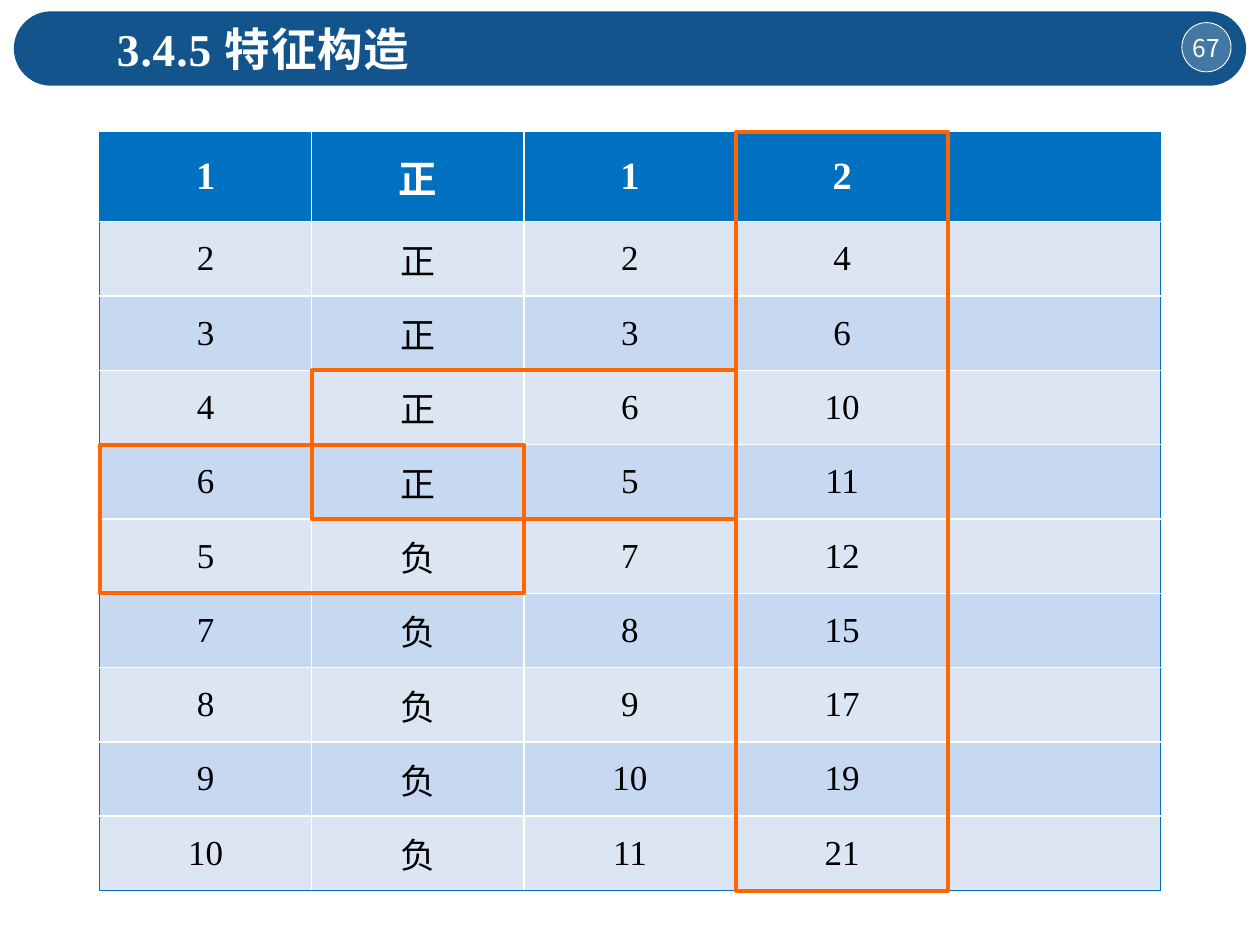
from dataclasses import dataclass

from lxml import etree
from pptx import Presentation
from pptx.dml.color import RGBColor
from pptx.enum.shapes import MSO_SHAPE
from pptx.enum.text import MSO_ANCHOR, PP_ALIGN
from pptx.oxml.ns import qn
from pptx.util import Inches, Pt

TITLE = "3.4.5 特征构造"
PAGE_NUMBER = "67"
ROWS = [
    ("1", "正", "1", "2", ""),
    ("2", "正", "2", "4", ""),
    ("3", "正", "3", "6", ""),
    ("4", "正", "6", "10", ""),
    ("6", "正", "5", "11", ""),
    ("5", "负", "7", "12", ""),
    ("7", "负", "8", "15", ""),
    ("8", "负", "9", "17", ""),
    ("9", "负", "10", "19", ""),
    ("10", "负", "11", "21", ""),
]
# Highlighted cell blocks: first column, first row, columns, rows
HIGHLIGHTS = [(1, 3, 2, 2), (3, 0, 1, 10), (0, 4, 2, 2)]


@dataclass(frozen=True)
class Theme:
    latin: str = "Times New Roman"
    chinese: str = "Noto Sans CJK SC"
    white: str = "FFFFFF"
    black: str = "000000"
    bar: str = "13548C"
    header: str = "0070C0"
    bands: tuple = ("C6D9F1", "DCE6F2")
    highlight: str = "FF6600"
    title_size: int = 26
    header_size: int = 22
    body_size: int = 20
    number_size: int = 14


THEME = Theme()
LEFT, TOP = 0.79, 1.05
COL_W, HEADER_H, ROW_H = 1.684, 0.71, 0.59


def rgb(value):
    return RGBColor.from_string(value)


def style_runs(p, size, color, bold=False, latin=THEME.latin):
    for r in p.runs:
        r.font.name, r.font.size, r.font.bold = latin, Pt(size), bold
        r.font.color.rgb = rgb(color)
        ea = etree.SubElement(r.font._element, qn("a:ea"))
        ea.set("typeface", THEME.chinese)


def add_shape(slide, kind, box, fill=None, line=None, width=1.0):
    sp = slide.shapes.add_shape(kind, *map(Inches, box))
    sp.shadow.inherit = False
    if fill:
        sp.fill.solid()
        sp.fill.fore_color.rgb = rgb(fill)
    else:
        sp.fill.background()
    if line:
        sp.line.color.rgb = rgb(line)
        sp.line.width = Pt(width)
    else:
        sp.line.fill.background()
    return sp


def set_borders(cell, colors):
    """Draw the cell's sides; colors maps L, R, T and B to a colour."""
    tc_pr = cell._tc.get_or_add_tcPr()
    for i, side in enumerate("LRTB"):
        ln = etree.Element(qn(f"a:ln{side}"), w=str(Pt(1)))
        fill = etree.SubElement(ln, qn("a:solidFill"))
        etree.SubElement(fill, qn("a:srgbClr"), val=colors[side])
        tc_pr.insert(i, ln)


def add_header(slide):
    bar = add_shape(slide, MSO_SHAPE.ROUNDED_RECTANGLE, (0.11, 0.09, 9.78, 0.59), THEME.bar)
    bar.adjustments[0] = 0.5

    badge = add_shape(slide, MSO_SHAPE.OVAL, (9.38, 0.18, 0.39, 0.39),
                      THEME.white, THEME.white, 0.5)
    color = badge.fill._xPr.find(qn("a:solidFill"))[0]
    etree.SubElement(color, qn("a:alpha"), val="21000")
    tf = badge.text_frame
    tf.margin_left = tf.margin_right = tf.margin_top = tf.margin_bottom = 0
    tf.word_wrap = False
    tf.vertical_anchor = MSO_ANCHOR.MIDDLE
    tf.text = PAGE_NUMBER
    p = tf.paragraphs[0]
    p.alignment = PP_ALIGN.CENTER
    style_runs(p, THEME.number_size, THEME.white, latin=THEME.chinese)


def add_title(slide):
    box = slide.shapes.add_textbox(*map(Inches, (0.83, 0.12, 4.17, 0.54)))
    tf = box.text_frame
    tf.word_wrap = True
    tf.text = TITLE
    p = tf.paragraphs[0]
    style_runs(p, THEME.title_size, THEME.white, bold=True)
    p.runs[0].font._element.set("spc", "50")


def add_grid(slide):
    n_rows, n_cols = len(ROWS), len(ROWS[0])
    size = (COL_W * n_cols, HEADER_H + ROW_H * (n_rows - 1))
    table = slide.shapes.add_table(n_rows, n_cols, *map(Inches, (LEFT, TOP, *size))).table
    table.horz_banding = False
    for col in table.columns:
        col.width = Inches(COL_W)
    for i, values in enumerate(ROWS):
        is_header = i == 0
        table.rows[i].height = Inches(HEADER_H if is_header else ROW_H)
        for j, value in enumerate(values):
            cell = table.cell(i, j)
            cell.vertical_anchor = MSO_ANCHOR.MIDDLE
            cell.fill.solid()
            cell.fill.fore_color.rgb = rgb(THEME.header if is_header else THEME.bands[i % 2])
            on_edge = {"L": j == 0, "R": j == n_cols - 1, "T": is_header, "B": i == n_rows - 1}
            set_borders(cell, {side: THEME.header if edge else THEME.white
                               for side, edge in on_edge.items()})
            cell.text_frame.text = value
            p = cell.text_frame.paragraphs[0]
            p.alignment = PP_ALIGN.CENTER
            if is_header:
                style_runs(p, THEME.header_size, THEME.white, bold=True)
            else:
                style_runs(p, THEME.body_size, THEME.black)


def row_top(row):
    return TOP + (HEADER_H + ROW_H * (row - 1) if row else 0)


def add_highlight(slide, col, row, n_cols, n_rows):
    top = row_top(row)
    box = (LEFT + COL_W * col, top, COL_W * n_cols, row_top(row + n_rows) - top)
    add_shape(slide, MSO_SHAPE.RECTANGLE, box, line=THEME.highlight, width=2.25)


def main():
    prs = Presentation()
    prs.slide_width, prs.slide_height = Inches(10), Inches(7.5)
    slide = prs.slides.add_slide(prs.slide_layouts[6])
    add_header(slide)
    add_grid(slide)
    add_title(slide)
    for block in HIGHLIGHTS:
        add_highlight(slide, *block)
    prs.save("out.pptx")


if __name__ == "__main__":
    main()
